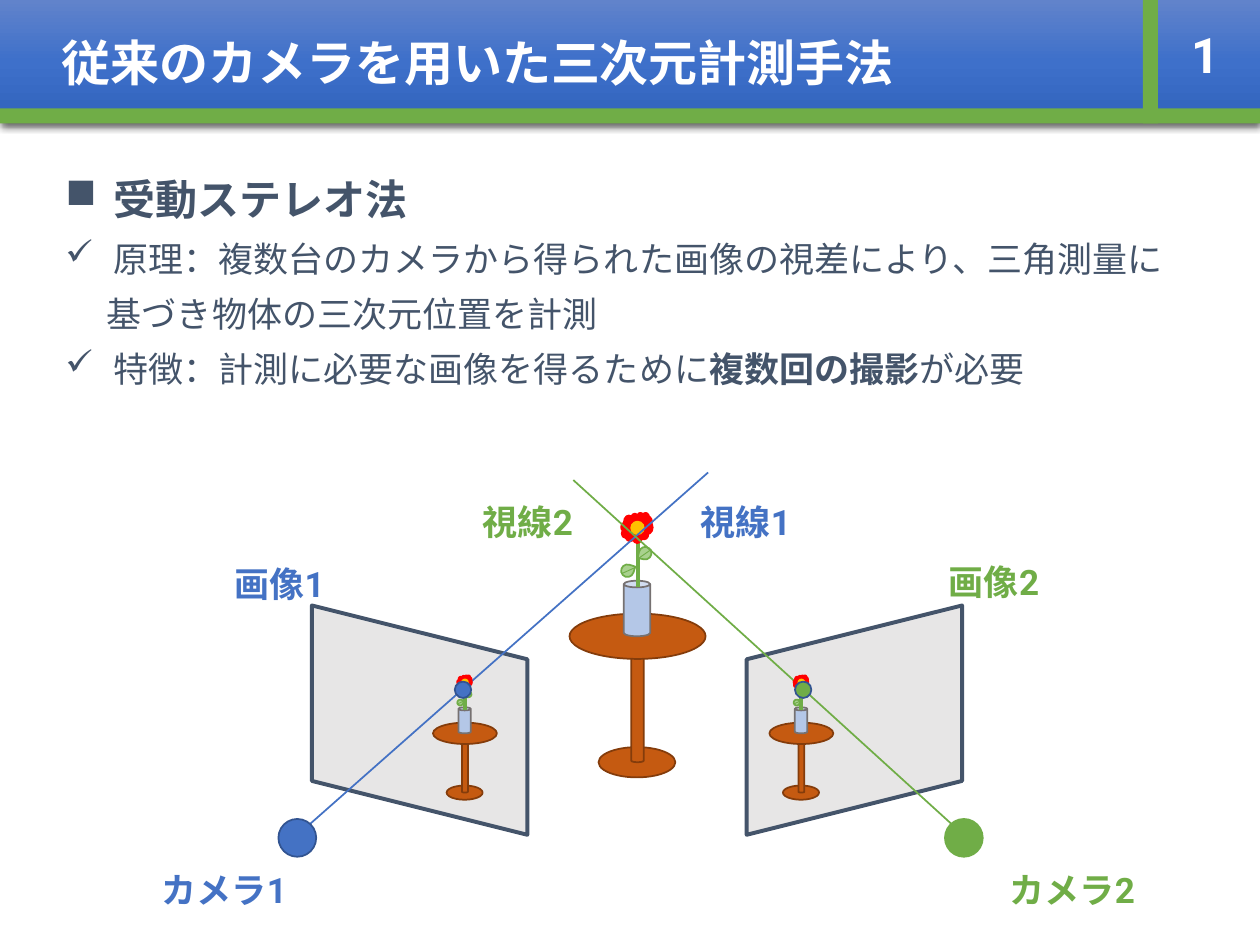
from copy import deepcopy
from typing import NamedTuple, Optional

from lxml.etree import SubElement
from pptx import Presentation
from pptx.dml.color import RGBColor
from pptx.enum.shapes import MSO_CONNECTOR, MSO_SHAPE as Preset
from pptx.enum.text import MSO_ANCHOR as Anchor, MSO_AUTO_SIZE, PP_ALIGN as Align
from pptx.oxml.ns import qn
from pptx.util import Inches, Pt

FONT = "Roboto"
WHITE = RGBColor(0xFF, 0xFF, 0xFF)
SLATE = RGBColor(0x44, 0x54, 0x6A)
GREEN = RGBColor(0x70, 0xAD, 0x47)
BLUE = RGBColor(0x44, 0x72, 0xC4)
DARK_BLUE = RGBColor(0x32, 0x54, 0x91)
GRAY = RGBColor(0xE7, 0xE6, 0xE6)
WOOD = RGBColor(0xC5, 0x5A, 0x11)
DARK_WOOD = RGBColor(0x84, 0x3C, 0x0B)
GLASS = RGBColor(0xB4, 0xC7, 0xE7)
GLASS_EDGE = RGBColor(0x76, 0x71, 0x71)
RED = RGBColor(0xFF, 0x00, 0x00)
YELLOW = RGBColor(0xFF, 0xC0, 0x00)
LEAF = RGBColor(0xA9, 0xD1, 0x8E)
BAND = ((0, RGBColor(0x61, 0x83, 0xCB)), (0.5, RGBColor(0x3E, 0x70, 0xCA)),
        (1, RGBColor(0x30, 0x62, 0xBB)))


class Part(NamedTuple):
    """Filled piece of the flower table, relative to its top centre."""
    preset: Preset
    left: float
    top: float
    width: float
    height: float
    fill: RGBColor
    edge: RGBColor
    rotation: float = 0


class Stroke(NamedTuple):
    """Line of the flower table, relative to its top centre."""
    x1: float
    y1: float
    x2: float
    y2: float
    weight: float


class View(NamedTuple):
    """One camera with its image plane, sight line and labels."""
    number: int
    color: RGBColor
    camera_edge: RGBColor
    plane_left: float
    rotation: int
    flip: bool
    sight: tuple
    camera_left: float
    table_center: float
    point_left: float
    labels: tuple


class Entry(NamedTuple):
    """Body paragraph made of (text, bold) runs."""
    runs: tuple
    size: int = 20
    bullet: Optional[str] = "✓"
    spacing: float = 1.0


FLOWER_TABLE = (
    Part(Preset.OVAL, -0.31, 1.86, 0.61, 0.24, WOOD, DARK_WOOD),
    Part(Preset.CAN, -0.05, 0.98, 0.1, 1, WOOD, DARK_WOOD),
    Part(Preset.OVAL, -0.54, 0.8, 1.08, 0.36, WOOD, DARK_WOOD),
    Part(Preset.CAN, -0.11, 0.54, 0.21, 0.44, GLASS, GLASS_EDGE),
    Stroke(0, 0.14, 0, 0.59, 2.25),
    Part(Preset.CLOUD, -0.13, 0, 0.25, 0.24, RED, RED),
    Part(Preset.TEAR, -0.13, 0.41, 0.1, 0.1, LEAF, GREEN, 17.4),
    Part(Preset.TEAR, 0.01, 0.27, 0.1, 0.1, LEAF, GREEN, 192),
    Stroke(-0.01, 0.43, -0.12, 0.48, 0.5),
    Stroke(0.11, 0.29, 0.01, 0.36, 0.5),
    Part(Preset.OVAL, -0.05, 0.07, 0.1, 0.1, YELLOW, YELLOW),
)
VIEWS = (
    View(1, BLUE, DARK_BLUE, 2.42, 90, False, (5.62, 3.75, 2.37, 6.62), 2.21, 3.69, 3.61,
         (("カメラ", 0.91, 6.88), ("画像", 1.35, 4.45), ("視線", 5.05, 3.96))),
    View(2, GREEN, GREEN, 5.87, 270, True, (4.55, 3.81, 7.64, 6.62), 7.5, 6.36, 6.31,
         (("カメラ", 7.64, 6.88), ("画像", 7.02, 4.44), ("視線", 3.32, 3.96))),
)
BODY = (
    Entry((("受動ステレオ法", True),), 24, "■", 0.9),
    Entry((("原理：複数台のカメラから得られた画像の視差により、三角測量に", False),)),
    Entry((("基づき物体の三次元位置を計測", False),), bullet=None),
    Entry((("特徴：計測に必要な画像を得るために", False), ("複数回の撮影", True),
           ("が必要", False))),
)


def add_run(paragraph, text: str, *, size: float, color: RGBColor, bold: bool = True) -> None:
    run = paragraph.add_run()
    run.text = text
    font = run.font
    font.name, font.size, font.bold = FONT, Pt(size), bold
    font.color.rgb = color


def add_text(left: float, top: float, width: float, height: float, text: str, *,
             size: float, color: RGBColor, anchor: Anchor = Anchor.TOP,
             spacing: float = 1.0, before: float = 0) -> None:
    frame = slide.shapes.add_textbox(*map(Inches, (left, top, width, height))).text_frame
    frame.word_wrap, frame.vertical_anchor = True, anchor
    paragraph = frame.paragraphs[0]
    paragraph.alignment = Align.CENTER
    paragraph.line_spacing, paragraph.space_before = spacing, Pt(before)
    add_run(paragraph, text, size=size, color=color)


def add_shape(shapes, preset: Preset, left: float, top: float, width: float, height: float,
              fill: RGBColor, edge: Optional[RGBColor] = None, weight: float = 1,
              rotation: float = 0):
    shape = shapes.add_shape(preset, *map(Inches, (left, top, width, height)))
    shape.shadow.inherit = False
    shape.rotation = rotation
    shape.fill.solid()
    shape.fill.fore_color.rgb = fill
    if edge is None:
        shape.line.fill.background()
    else:
        shape.line.color.rgb = edge
        shape.line.width = Pt(weight)
    return shape


def add_line(shapes, x1: float, y1: float, x2: float, y2: float, color: RGBColor,
             weight: float) -> None:
    line = shapes.add_connector(MSO_CONNECTOR.STRAIGHT, *map(Inches, (x1, y1, x2, y2)))
    line.line.color.rgb = color
    line.line.width = Pt(weight)
    SubElement(line._element.spPr, qn("a:effectLst"))


def add_flower_table(center: float, top: float, scale: float = 1) -> None:
    shapes = slide.shapes.add_group_shape().shapes
    for item in FLOWER_TABLE:
        if isinstance(item, Stroke):
            add_line(shapes, center + item.x1 * scale, top + item.y1 * scale,
                     center + item.x2 * scale, top + item.y2 * scale, GREEN, item.weight)
        else:
            add_shape(shapes, item.preset, center + item.left * scale, top + item.top * scale,
                      item.width * scale, item.height * scale, item.fill, item.edge,
                      rotation=item.rotation)


def format_title(title, text: str) -> None:
    title.left, title.top, title.width, title.height = map(Inches, (0, 0, 10, 0.98))
    title.fill.gradient()
    title.fill.gradient_angle = 270
    properties = title._element.spPr
    stops = properties.find(".//" + qn("a:gsLst"))
    stops.append(deepcopy(stops[0]))
    for stop, (position, color) in zip(title.fill.gradient_stops, BAND):
        stop.position, stop.color.rgb = position, color
    effects = SubElement(properties, qn("a:effectLst"))
    shadow = SubElement(effects, qn("a:outerShdw"), blurRad=str(Pt(4.5)), dist=str(Pt(1.5)),
                        dir="5400000", algn="t", rotWithShape="0")
    black = SubElement(shadow, qn("a:srgbClr"), val="000000")
    SubElement(black, qn("a:alpha"), val="63000")
    frame = title.text_frame
    frame.auto_size, frame.vertical_anchor = MSO_AUTO_SIZE.NONE, Anchor.MIDDLE
    frame.margin_left = Inches(0.49)
    frame.paragraphs[0].alignment = Align.LEFT
    add_run(frame.paragraphs[0], text, size=28, color=WHITE)


def add_body() -> None:
    frame = slide.shapes.add_textbox(*map(Inches, (0.42, 1.37, 9.15, 2.04))).text_frame
    frame.word_wrap = True
    for index, entry in enumerate(BODY):
        paragraph = frame.add_paragraph() if index else frame.paragraphs[0]
        paragraph.line_spacing, paragraph.space_before = entry.spacing, Pt(7.5)
        properties = paragraph._p.get_or_add_pPr()
        properties.set("marL", str(Inches(0.38 if entry.bullet else 0.33)))
        if entry.bullet:
            properties.set("indent", str(Inches(-0.38)))
            SubElement(properties, qn("a:buChar"), char=entry.bullet)
        for text, bold in entry.runs:
            add_run(paragraph, text, size=entry.size, color=SLATE, bold=bold)


presentation = Presentation()
presentation.slide_width, presentation.slide_height = Inches(10), Inches(7.5)
slide = presentation.slides.add_slide(presentation.slide_layouts[5])

# Header band and body text
format_title(slide.shapes.title, "従来のカメラを用いた三次元計測手法")
add_shape(slide.shapes, Preset.RECTANGLE, 0, 0.86, 10, 0.12, GREEN)
add_text(9.13, 0, 0.87, 0.86, "1", size=28, color=WHITE, anchor=Anchor.MIDDLE)
add_shape(slide.shapes, Preset.RECTANGLE, 9.07, 0, 0.12, 0.98, GREEN)
add_body()

# Image planes behind the flower table
for view in VIEWS:
    plane = add_shape(slide.shapes, Preset.PARALLELOGRAM, view.plane_left, 4.86, 1.82, 1.71,
                      GRAY, SLATE, 2.25, view.rotation)
    if view.flip:
        plane._element.spPr.get_or_add_xfrm().set("flipH", "1")
add_flower_table(5.06, 4.07)

# Sight lines, cameras, labels and projected views
for view in VIEWS:
    add_line(slide.shapes, *view.sight, view.color, 1)
for view in VIEWS:
    add_shape(slide.shapes, Preset.OVAL, view.camera_left, 6.5, 0.3, 0.3, view.color,
              view.camera_edge)
    for name, left, top in view.labels:
        add_text(left, top, 1.74, 0.47, f"{name}{view.number}", size=20, color=view.color,
                 spacing=0.9, before=7.5)
    add_flower_table(view.table_center, 5.36, 0.47)
    add_shape(slide.shapes, Preset.OVAL, view.point_left, 5.41, 0.13, 0.13, view.color, DARK_BLUE)

presentation.save("out.pptx")
